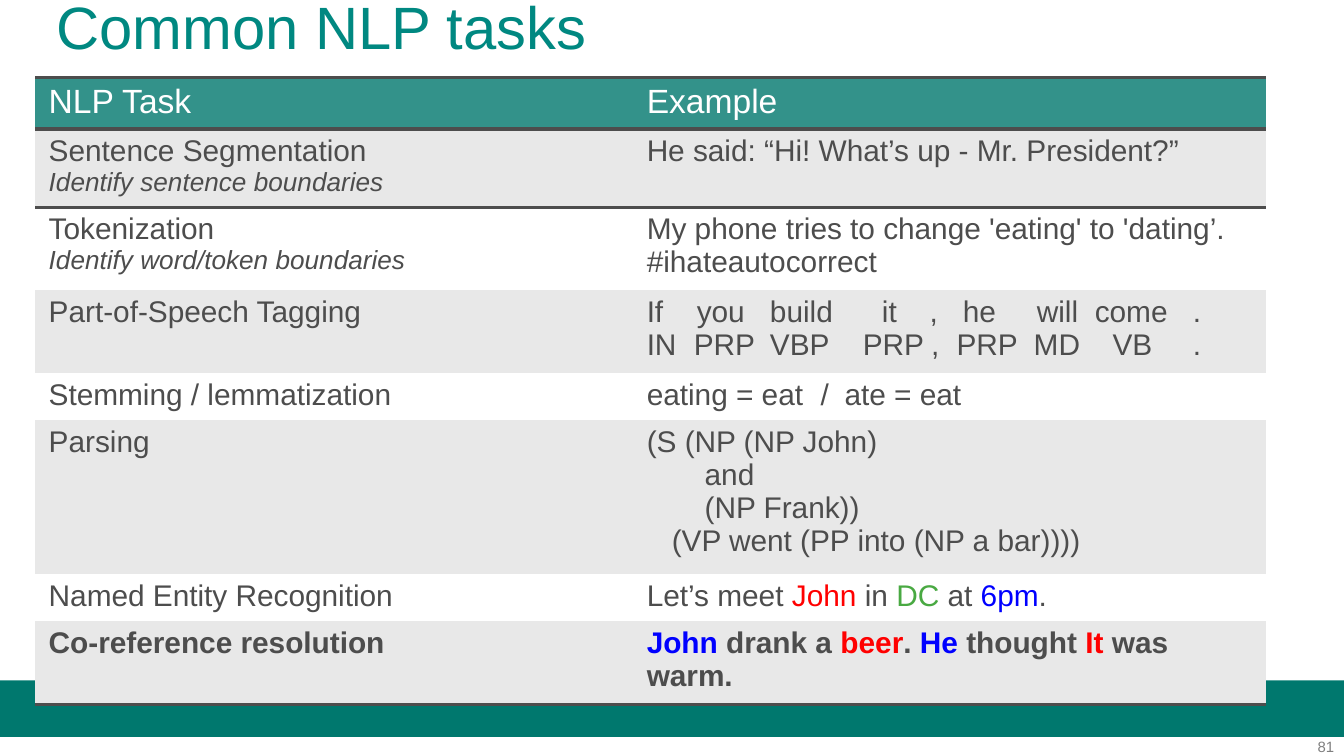
from lxml import etree
from pptx import Presentation
from pptx.dml.color import RGBColor
from pptx.enum import shapes, text
from pptx.oxml import ns
from pptx.util import Pt

FONT = "Arial"
TEAL = RGBColor(0x00, 0x88, 0x81)
BAR = RGBColor(0x00, 0x78, 0x6E)
HEADER = RGBColor(0x33, 0x92, 0x8A)
BAND = RGBColor(0xE8, 0xE8, 0xE8)
WHITE = RGBColor(0xFF, 0xFF, 0xFF)
DARK = RGBColor(0x4D, 0x4D, 0x4D)
GREY = RGBColor(0x7F, 0x7F, 0x7F)
RED = RGBColor(0xFF, 0x00, 0x00)
GREEN = RGBColor(0x49, 0xA9, 0x42)
BLUE = RGBColor(0x00, 0x00, 0xFF)

NO_STYLE = "{2D5ABB26-0587-4C30-8999-92F81FD0307C}"
COLUMN_WIDTHS = (320.4, 339.1)

# A line is a string or a list of (text, colour) spans
WORDS = "If\tyou\tbuild\tit\t,\the\twill\tcome\t."
TAGS = "IN\tPRP\tVBP\tPRP\t,\tPRP\tMD\tVB\t."
STEMS = "eating = eat\t/\tate = eat"
MEETING = [("Let’s meet ", DARK), ("John", RED), (" in ", DARK), ("DC", GREEN),
           (" at ", DARK), ("6pm", BLUE), (".", DARK)]
BEER = [("John", BLUE), (" drank a ", DARK), ("beer", RED), (". ", DARK),
        ("He", BLUE), (" thought ", DARK), ("It", RED), (" was warm.", DARK)]

# Row height, task, description, example lines
ROWS = [
    (27.4, "NLP Task", None, ["Example"]),
    (41, "Sentence Segmentation", "Identify sentence boundaries",
     ["He said: “Hi! What’s up - Mr. President?”"]),
    (44, "Tokenization", "Identify word/token boundaries",
     ["My phone tries to change 'eating' to 'dating’. #ihateautocorrect"]),
    (44, "Part-of-Speech Tagging", None, [WORDS, TAGS]),
    (24.6, "Stemming / lemmatization", None, [STEMS]),
    (82, "Parsing", None,
     ["(S (NP (NP John)", "and", "(NP Frank))", "(VP went (PP into (NP a bar))))"]),
    (24.6, "Named Entity Recognition", None, [MEETING]),
    (40.4, "Co-reference resolution", None, [BEER]),
]

# Tab stops and indents, in points from the cell's text edge
TABS = {
    WORDS: (26.8, 66, 126, 151.6, 169.3, 209, 240, 292.5),
    TAGS: (25.2, 66, 115.7, 152.3, 166, 207.3, 249.6, 292.5),
    STEMS: (93.2, 106),
}
INDENTS = {"and": 31, "(NP Frank))": 31, "(VP went (PP into (NP a bar))))": 13.4}


def format_span(span, size, color, bold=False, italic=False):
    span.font.name = FONT
    span.font.size = Pt(size)
    span.font.color.rgb = color
    span.font.bold = bold
    span.font.italic = italic


def add_tabs(para, stops):
    tab_list = etree.SubElement(para._p.get_or_add_pPr(), ns.qn("a:tabLst"))
    for stop in stops:
        etree.SubElement(tab_list, ns.qn("a:tab"), pos=str(int(Pt(stop))), algn="l")


def write_line(para, line, size, color, bold=False, italic=False):
    spans = [(line, color)] if isinstance(line, str) else line
    if isinstance(line, str):
        if line in TABS:
            add_tabs(para, TABS[line])
        if line in INDENTS:
            para._p.get_or_add_pPr().set("marL", str(int(Pt(INDENTS[line]))))
    for words, span_color in spans:
        span = para.add_run()
        span.text = words
        format_span(span, size, span_color, bold, italic)


def add_border(cell, side):
    line = etree.SubElement(cell._tc.get_or_add_tcPr(), ns.qn("a:" + side),
                            w=str(int(Pt(2))))
    fill = etree.SubElement(line, ns.qn("a:solidFill"))
    etree.SubElement(fill, ns.qn("a:srgbClr"), val=str(DARK))


def fill_cell(cell, lines, fill, borders):
    """Write (line, size, color, bold, italic) tuples into a cell."""
    cell.margin_left = cell.margin_right = Pt(7.2)
    cell.margin_top = cell.margin_bottom = Pt(3)
    for side in borders:
        add_border(cell, side)
    cell.fill.solid()
    cell.fill.fore_color.rgb = fill
    frame = cell.text_frame
    for index, line in enumerate(lines):
        para = frame.add_paragraph() if index else frame.paragraphs[0]
        write_line(para, *line)


def add_task_table(page):
    height = sum(row[0] for row in ROWS)
    frame = page.shapes.add_table(len(ROWS), 2, Pt(18.9), Pt(41.5),
                                  Pt(sum(COLUMN_WIDTHS)), Pt(height))
    table = frame.table
    table._tbl.tblPr.find(ns.qn("a:tableStyleId")).text = NO_STYLE
    for column, width in zip(table.columns, COLUMN_WIDTHS):
        column.width = Pt(width)
    last = len(ROWS) - 1
    for index, (row_height, task, description, examples) in enumerate(ROWS):
        table.rows[index].height = Pt(row_height)
        if index == 0:
            size, color, fill, borders = 18, WHITE, HEADER, ("lnT", "lnB")
        else:
            size, color = 16, DARK
            fill = BAND if index % 2 else WHITE
            borders = {1: ("lnT",), last: ("lnB",)}.get(index, ())
        bold = index == last
        left = [(task, size, color, bold)]
        if description:
            left.append((description, 14, color, False, True))
        right = [(line, size, color, bold) for line in examples]
        fill_cell(table.cell(index, 0), left, fill, borders)
        fill_cell(table.cell(index, 1), right, fill, borders)


def clear_margins(frame):
    frame.margin_left = frame.margin_right = 0
    frame.margin_top = frame.margin_bottom = 0
    frame.word_wrap = True
    frame.vertical_anchor = text.MSO_ANCHOR.TOP


def set_title(page):
    title = page.shapes.title
    title.left, title.top, title.width, title.height = Pt(30.2), Pt(-1.4), Pt(662), Pt(54.7)
    frame = title.text_frame
    frame.text = "Common NLP tasks"
    clear_margins(frame)
    para = frame.paragraphs[0]
    para.alignment = text.PP_ALIGN.LEFT
    para.line_spacing = 0.9
    format_span(para.runs[0], 32, TEAL)


def add_footer(page):
    bar = page.shapes.add_shape(shapes.MSO_SHAPE.RECTANGLE, 0, Pt(364.5), Pt(720), Pt(30.3))
    bar.shadow.inherit = False
    bar.fill.solid()
    bar.fill.fore_color.rgb = BAR
    bar.line.fill.background()

    number = page.shapes.add_textbox(Pt(673), Pt(395.3), Pt(41.8), Pt(10))
    frame = number.text_frame
    frame.text = "81"
    clear_margins(frame)
    frame.paragraphs[0].alignment = text.PP_ALIGN.RIGHT
    format_span(frame.paragraphs[0].runs[0], 8, GREY)


def main():
    deck = Presentation()
    deck.slide_width, deck.slide_height = Pt(720), Pt(405)
    page = deck.slides.add_slide(deck.slide_layouts[5])
    add_footer(page)
    set_title(page)
    add_task_table(page)
    deck.save("out.pptx")


if __name__ == "__main__":
    main()
